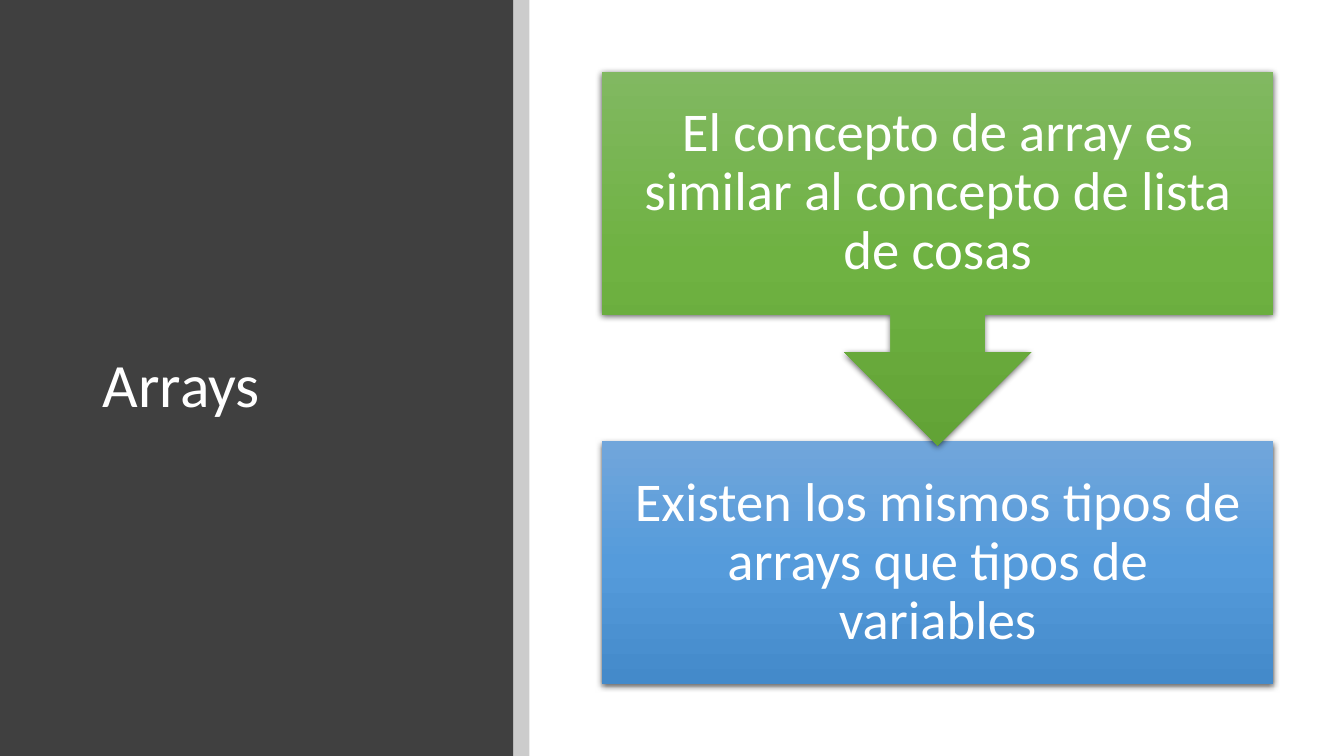
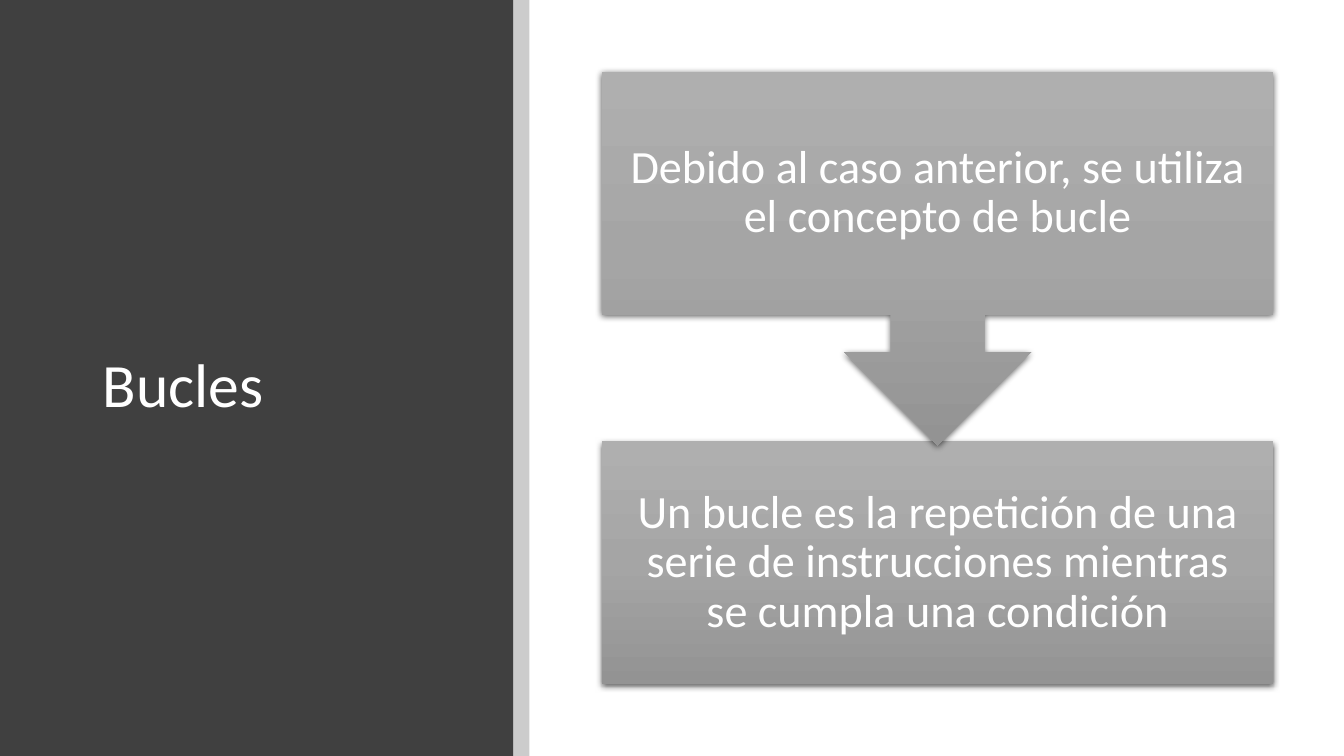
import copy

import pptx
import pptx.dml.color
import pptx.enum.shapes
import pptx.enum.text
import pptx.oxml
import pptx.oxml.ns
import pptx.util

Inches = pptx.util.Inches
Pt = pptx.util.Pt
Shape = pptx.enum.shapes.MSO_SHAPE
Align = pptx.enum.text.PP_ALIGN
qn = pptx.oxml.ns.qn

# Shared look
WIDTH, HEIGHT = 13.33, 7.5
PANEL_W, STRIPE_W = 5.09, 0.16
STEP_X, STEP_W, STEP_H = 5.97, 6.66, 2.41
FIRST_Y, CALLOUT_H = 0.71, 3.71
SECOND_Y = HEIGHT - FIRST_Y - STEP_H
FONT, WHITE, PANEL, STRIPE = "Calibri", "FFFFFF", "404040", "000000"
GREEN = ("81B861", "6FB242", "62A336")
BLUE = ("71A6DB", "559BDB", "448ACA")
GRAY = ("AFAFAF", "A5A5A5", "939393")
SHADOW = (
    f'<a:outerShdw {pptx.oxml.ns.nsdecls("a")} blurRad="{Pt(4.5)}" dist="{Pt(1.5)}" '
    'dir="5400000" algn="ctr" rotWithShape="0">'
    '<a:srgbClr val="000000"><a:alpha val="63000"/></a:srgbClr></a:outerShdw>'
)

# Title, text size, inset, then each step's text and gradient
SLIDES = [
    ("Arrays", 39, 0.3,
     ("El concepto de array es similar al concepto de lista de cosas", GREEN),
     ("Existen los mismos tipos de arrays que tipos de variables", BLUE)),
    ("Bucles", 33, 0.26,
     ("Debido al caso anterior, se utiliza el concepto de bucle", GRAY),
     ("Un bucle es la repetición de una serie de instrucciones mientras se cumpla una condición", GRAY)),
]


def color(hex_value):
    return pptx.dml.color.RGBColor.from_string(hex_value)


def write(shape, text, size, align, inset_x, inset_y):
    frame = shape.text_frame
    frame.word_wrap = True
    frame.vertical_anchor = pptx.enum.text.MSO_ANCHOR.MIDDLE
    frame.margin_left = frame.margin_right = Inches(inset_x)
    frame.margin_top = frame.margin_bottom = Inches(inset_y)
    paragraph = frame.paragraphs[0]
    paragraph.text = text
    paragraph.alignment = align
    paragraph.line_spacing = 0.9
    paragraph.font.name = FONT
    paragraph.font.size = Pt(size)
    paragraph.font.color.rgb = color(WHITE)


deck = pptx.Presentation()
deck.slide_width, deck.slide_height = Inches(WIDTH), Inches(HEIGHT)

for title, size, inset, first, second in SLIDES:
    shapes = deck.slides.add_slide(deck.slide_layouts[6]).shapes

    # Dark panel and translucent stripe
    for left, width, fill in ((0, PANEL_W, PANEL), (PANEL_W, STRIPE_W, STRIPE)):
        band = shapes.add_shape(Shape.RECTANGLE, Inches(left), 0, Inches(width), Inches(HEIGHT))
        band.shadow.inherit = False
        band.line.fill.background()
        band.fill.solid()
        band.fill.fore_color.rgb = color(fill)
    stripe_color = band.element.spPr.find(qn("a:solidFill")).find(qn("a:srgbClr"))
    stripe_color.append(pptx.oxml.parse_xml(f'<a:alpha {pptx.oxml.ns.nsdecls("a")} val="20000"/>'))

    # Title
    heading = shapes.add_textbox(Inches(0.92), Inches(0.89), Inches(3.65), Inches(5.91))
    write(heading, title, 44, Align.LEFT, 0.1, 0.05)

    # Second step lies behind the tip of the first step's arrow
    for kind, top, height, (text, gradient) in (
        (Shape.RECTANGLE, SECOND_Y, STEP_H, second),
        (Shape.DOWN_ARROW_CALLOUT, FIRST_Y, CALLOUT_H, first),
    ):
        step = shapes.add_shape(kind, Inches(STEP_X), Inches(top), Inches(STEP_W), Inches(height))
        step.line.fill.background()
        step.fill.gradient()
        step.fill.gradient_angle = 270
        stops = step.element.spPr.find(qn("a:gradFill")).find(qn("a:gsLst"))
        stops.append(copy.deepcopy(stops[-1]))
        for index, stop in enumerate(step.fill.gradient_stops):
            stop.position = index / 2
            stop.color.rgb = color(gradient[index])
        step.shadow.inherit = False
        step.element.spPr.find(qn("a:effectLst")).append(pptx.oxml.parse_xml(SHADOW))
        write(step, text, size, Align.CENTER, inset, inset)

deck.save("out.pptx")
